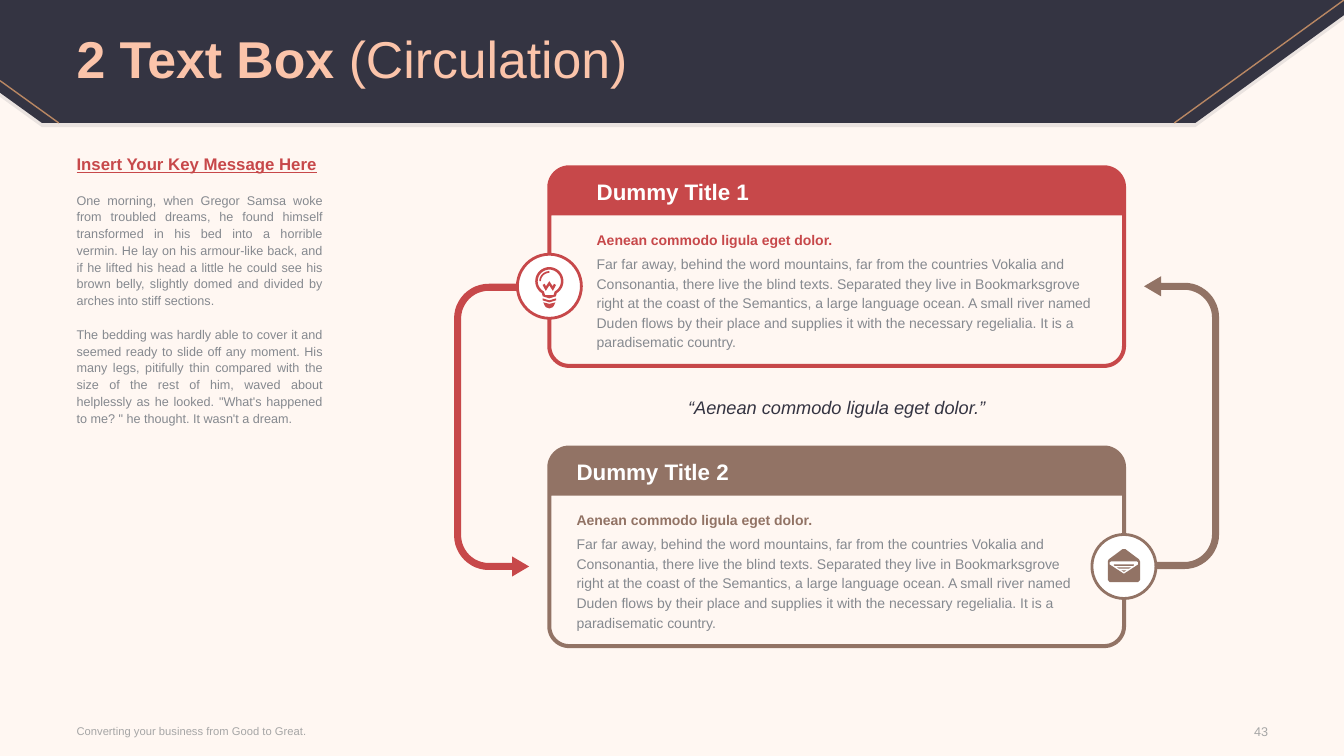
import math

import pptx
import pptx.dml.color
import pptx.enum.shapes
import pptx.enum.text
import pptx.oxml
import pptx.util

COLUMNS, ROWS = 160, 90
CELL = pptx.util.Inches(1) // 12
ALIGN = pptx.enum.text.PP_ALIGN
ANCHOR = pptx.enum.text.MSO_ANCHOR

NAVY, CREAM, PEACH, BRONZE = "343442", "FFF7F2", "FBC4AA", "B98763"
RED, BROWN, GREY, PALE, WHITE = "C7484A", "927365", "85898F", "A6A6A6", "FFFFFF"
DRAWING = "http://schemas.openxmlformats.org/drawingml/2006/main"

PANEL_LEFT, PANEL_WIDTH, PANEL_HEIGHT = 65.16, 68.9, 24.12
PANEL_TOP, PANEL_STEP = 19.68, 33.36
BADGE_DROP = 14.4
SUBTITLE = "Aenean commodo ligula eget dolor."
STORY = (
    "Far far away, behind the word mountains, far from the countries Vokalia and "
    "Consonantia, there live the blind texts. Separated they live in Bookmarksgrove "
    "right at the coast of the Semantics, a large language ocean. A small river named "
    "Duden flows by their place and supplies it with the necessary regelialia. It is a "
    "paradisematic country."
)
MESSAGE = [
    "Insert Your Key Message Here",
    "One morning, when Gregor Samsa woke from troubled dreams, he found himself "
    "transformed in his bed into a horrible vermin. He lay on his armour-like back, and "
    "if he lifted his head a little he could see his brown belly, slightly domed and "
    "divided by arches into stiff sections.",
    "The bedding was hardly able to cover it and seemed ready to slide off any moment. "
    "His many legs, pitifully thin compared with the size of the rest of him, waved about "
    "helplessly as he looked. \"What's happened to me? \" he thought. It wasn't a dream.",
]


def grid(*lengths):
    return [pptx.util.Emu(round(length * CELL)) for length in lengths]


def paint(color_holder, color):
    color_holder.rgb = pptx.dml.color.RGBColor.from_string(color)


def fill(shape, color):
    shape.shadow.inherit = False
    shape.fill.solid()
    paint(shape.fill.fore_color, color)
    shape.line.fill.background()


def arc(x, y, radius, start, end, steps=12):
    angles = [math.radians(start + (end - start) * step / steps) for step in range(steps + 1)]
    return [(x + radius * math.cos(angle), y + radius * math.sin(angle)) for angle in angles]


def shift(contours, x, y):
    return [[(x + across, y + down) for across, down in contour] for contour in contours]


def mirror(contour):
    return [(-across, down) for across, down in reversed(contour)]


def add_outline(slide, contours, color):
    first, *others = [[tuple(grid(*point)) for point in contour] for contour in contours]
    builder = slide.shapes.build_freeform(*first[0])
    builder.add_line_segments(first[1:])
    for contour in others:
        builder.move_to(*contour[0])
        builder.add_line_segments(contour[1:])
    shape = builder.convert_to_shape()
    fill(shape, color)
    return shape


def add_line(slide, start, end, color):
    connector = slide.shapes.add_connector(
        pptx.enum.shapes.MSO_CONNECTOR.STRAIGHT, *grid(*start, *end))
    connector.line.width = pptx.util.Pt(1)
    paint(connector.line.color, color)
    properties = connector.element.spPr
    properties.append(pptx.oxml.parse_xml(f'<a:effectLst xmlns:a="{DRAWING}"/>'))


def style(font, size, color, bold=False):
    font.name = "Arial"
    font.size = pptx.util.Pt(size)
    font.bold = bold
    paint(font.color, color)


def set_frame(frame, anchor):
    frame.word_wrap = True
    frame.vertical_anchor = anchor
    frame.margin_left = frame.margin_right = frame.margin_top = frame.margin_bottom = 0


def add_text(slide, box, text, size, color, bold=False, align=ALIGN.LEFT,
             spacing=None, anchor=ANCHOR.TOP):
    frame = slide.shapes.add_textbox(*grid(*box)).text_frame
    set_frame(frame, anchor)
    frame.text = text
    for paragraph in frame.paragraphs:
        paragraph.alignment = align
        if spacing:
            paragraph.line_spacing = pptx.util.Pt(spacing)
        style(paragraph.runs[0].font, size, color, bold)
    return frame


def add_header(slide):
    band = [(142.3, 14.64), (5, 14.64), (0, 11.04), (0, 0), (COLUMNS, 0), (COLUMNS, 1.8)]
    shadow = add_outline(slide, shift([band], 0, 0.5), NAVY)
    tint = shadow.element.spPr.find(f".//{{{DRAWING}}}srgbClr")
    tint.append(pptx.oxml.parse_xml(f'<a:alpha xmlns:a="{DRAWING}" val="10000"/>'))
    add_outline(slide, [band], NAVY)
    add_line(slide, (COLUMNS, 0), (139.8, 14.64), BRONZE)
    add_line(slide, (7, 14.64), (0, 9.6), BRONZE)


def set_title(slide, strong, light):
    title = slide.shapes.title
    title.element.getparent().append(title.element)
    title.left, title.top, title.width, title.height = grid(9.12, 0.36, 141.72, 14.04)
    set_frame(title.text_frame, ANCHOR.MIDDLE)
    paragraph = title.text_frame.paragraphs[0]
    paragraph.alignment = ALIGN.LEFT
    paragraph.line_spacing = 0.9
    for text, bold in ((strong, True), (light, False)):
        run = paragraph.add_run()
        run.text = text
        style(run.font, 37, PEACH, bold)


def add_message(slide):
    frame = add_text(slide, (9.12, 18.72, 29.28, 62.28), "\n".join(MESSAGE), 9, GREY,
                     align=ALIGN.JUSTIFY, spacing=12)
    heading, *body = frame.paragraphs
    style(heading.runs[0].font, 12, RED, True)
    heading.runs[0].font.underline = True
    for paragraph in body:
        paragraph.space_before = pptx.util.Pt(12)


def add_panel(slide, top, text_left, title, color):
    right, bottom = PANEL_LEFT + PANEL_WIDTH, top + PANEL_HEIGHT
    corner, border, head = 2.6, 0.48, 5.95
    near, far = PANEL_LEFT + corner, right - corner
    low, inner = bottom - corner, corner - border
    frame = (arc(near, top + corner, corner, 180, 270) + arc(far, top + corner, corner, 270, 360)
             + arc(far, low, corner, 0, 90) + arc(near, low, corner, 90, 180))
    opening = ([(PANEL_LEFT + border, top + head), (right - border, top + head)]
               + arc(far, low, inner, 0, 90) + arc(near, low, inner, 90, 180))
    add_outline(slide, [frame, opening], color)
    width = 60.48
    add_text(slide, (text_left, top + 1.5, width, 3.2), title, 16, WHITE, True)
    add_text(slide, (text_left, top + 7.5, width, 2.4), SUBTITLE, 10, color, True, spacing=14)
    add_text(slide, (text_left, top + 10.4, width, 11.76), STORY, 10, GREY, spacing=14)


def loop_arrow():
    x, high, low = 58.2, 37.92, 63.72
    return ([(63, 67.44), (60.96, 66.24), (60.96, 67.02)]
            + arc(x, low, 3.3, 90, 180) + arc(x, high, 3.3, 180, 270)
            + [(61.56, 34.62), (61.56, 33.78)]
            + arc(x, high, 4.14, 270, 180) + arc(x, low, 4.14, 180, 90)
            + [(60.96, 67.86), (60.96, 68.64)])


def add_badge(slide, x, y, icon, color):
    size = 7.62
    badge = slide.shapes.add_shape(pptx.enum.shapes.MSO_SHAPE.OVAL,
                                   *grid(x - size / 2, y - size / 2, size, size))
    fill(badge, WHITE)
    badge.line.width = pptx.util.Pt(2)
    paint(badge.line.color, color)
    for contours in icon:
        add_outline(slide, shift(contours, x, y), color)


def bulb_icon():
    glass = arc(0, -0.6, 1.68, 122, 418, 36) + [(0.78, 1.2), (0, 1.44), (-0.78, 1.2)]
    hollow = arc(0, -0.6, 1.38, 118, 422, 36) + [(0.5, 1.05), (-0.5, 1.05)]
    ring = [(-0.8, 1.44), (0, 1.68), (0.8, 1.44), (0.8, 1.68), (0, 1.92), (-0.8, 1.68)]
    base = [(-0.72, 1.92), (0, 2.1), (0.72, 1.92), (0.55, 2.3), (0.4, 2.5),
            (0, 2.64), (-0.4, 2.5), (-0.55, 2.3)]
    half = [(0, -0.6), (0.4, 0), (0.55, -0.3), (0.8, -0.15), (0.42, 0.55), (0, -0.1)]
    glint = arc(0, -0.6, 1.2, 180, 270) + arc(0, -0.6, 1, 270, 180)
    return [[glass, hollow, ring, base], [half + mirror(half), glint]]


def envelope_icon():
    halves = [
        [(0.15, -2.08), (1.8, -0.85), (1.92, -0.6), (1.92, 1.6), (1.7, 1.85)],
        [(1.55, -0.6), (1.7, -0.5), (1.7, -0.24), (0, 0.87)],
        [(1.2, -0.24), (1.2, -0.12), (1.1, -0.08)],
        [(0.84, 0.1), (0.6, 0.26)],
        [(0.3, 0.46), (0, 0.64)],
    ]
    return [[half + mirror(half) for half in halves]]


def main():
    presentation = pptx.Presentation()
    presentation.slide_width, presentation.slide_height = grid(COLUMNS, ROWS)
    slide = presentation.slides.add_slide(presentation.slide_layouts[5])
    slide.background.fill.solid()
    paint(slide.background.fill.fore_color, CREAM)
    add_header(slide)
    set_title(slide, "2 Text Box ", "(Circulation)")
    add_message(slide)
    add_text(slide, (9.12, 85.44, 62.76, 3.12), "Converting your business from Good to Great.",
             8, PALE, anchor=ANCHOR.MIDDLE)
    add_text(slide, (143.4, 85.56, 7.56, 3.12), "43", 9, PALE, align=ALIGN.RIGHT,
             anchor=ANCHOR.MIDDLE)
    arrow = loop_arrow()
    add_outline(slide, [arrow], RED)
    add_outline(slide, [[(199.2 - x, 101.52 - y) for x, y in arrow]], BROWN)
    second_top = PANEL_TOP + PANEL_STEP
    add_panel(slide, PANEL_TOP, 71.04, "Dummy Title 1", RED)
    add_panel(slide, second_top, 68.64, "Dummy Title 2", BROWN)
    add_badge(slide, 65.4, PANEL_TOP + BADGE_DROP, bulb_icon(), RED)
    add_badge(slide, 133.8, second_top + BADGE_DROP, envelope_icon(), BROWN)
    quote = add_text(slide, (70.8, 47.4, 57.6, 2.4), f"“{SUBTITLE}”", 13, NAVY,
                     align=ALIGN.CENTER, spacing=14)
    quote.paragraphs[0].runs[0].font.italic = True
    presentation.save("out.pptx")


if __name__ == "__main__":
    main()
